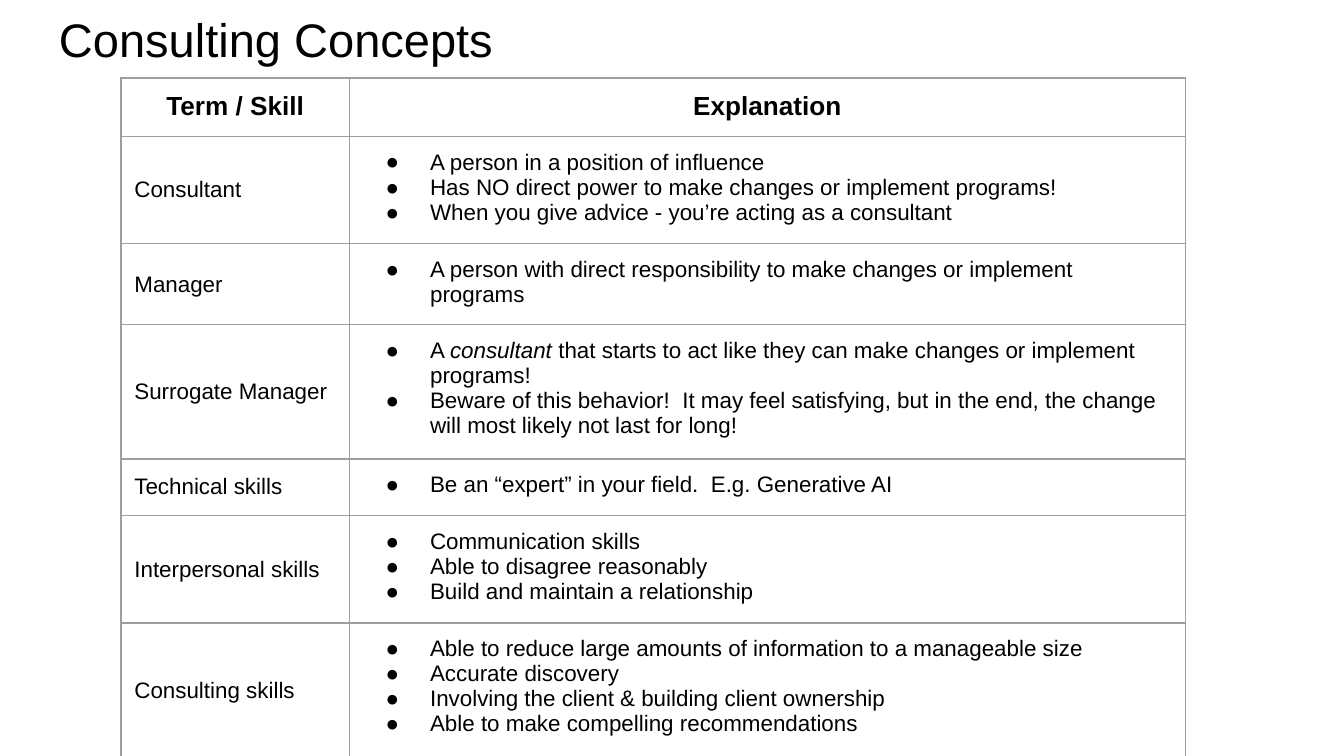
import pptx
import pptx.util
import pptx.dml.color
import pptx.enum.text
import lxml.etree

Inches = pptx.util.Inches
PP_ALIGN = pptx.enum.text.PP_ALIGN
MSO_ANCHOR = pptx.enum.text.MSO_ANCHOR
COLORS = {"text": "000000", "grid": "9E9E9E"}
NS = "http://schemas.openxmlformats.org/drawingml/2006/main"


def write(frame, text, size=12, bold=False, align=PP_ALIGN.LEFT, bullet=False):
    for index, line in enumerate(text.split("\n")):
        paragraph = frame.paragraphs[0] if index == 0 else frame.add_paragraph()
        paragraph.alignment = align
        paragraph.line_spacing = 1.0
        paragraph.space_before = paragraph.space_after = pptx.util.Pt(0)
        if bullet:
            props = paragraph._p.get_or_add_pPr()
            props.set("marL", str(Inches(0.5)))
            props.set("indent", str(Inches(-0.33)))
            bullet_color = lxml.etree.SubElement(props, f"{{{NS}}}buClr")
            lxml.etree.SubElement(bullet_color, f"{{{NS}}}srgbClr", val=COLORS["text"])
            lxml.etree.SubElement(props, f"{{{NS}}}buFont", typeface="Arial")
            lxml.etree.SubElement(props, f"{{{NS}}}buChar", char="●")
        for part, piece in enumerate(line.split("*")):
            run = paragraph.add_run()
            run.text = piece
            run.font.name = "Arial"
            run.font.size = pptx.util.Pt(size)
            run.font.bold = bold
            run.font.italic = part % 2 == 1
            run.font.color.rgb = pptx.dml.color.RGBColor.from_string(COLORS["text"])
            for script in ("ea", "cs"):
                lxml.etree.SubElement(run._r.get_or_add_rPr(), f"{{{NS}}}{script}", typeface="Arial")


def style_cell(cell):
    cell.margin_left = cell.margin_right = Inches(0.1)
    cell.margin_top = cell.margin_bottom = Inches(0.1)
    props = cell._tc.get_or_add_tcPr()
    for side in ("lnL", "lnR", "lnT", "lnB"):
        border = lxml.etree.SubElement(props, f"{{{NS}}}{side}", w=str(pptx.util.Pt(0.75)))
        fill = lxml.etree.SubElement(border, f"{{{NS}}}solidFill")
        lxml.etree.SubElement(fill, f"{{{NS}}}srgbClr", val=COLORS["grid"])
    cell.fill.background()


concepts = [
    ("Consultant",
     "A person in a position of influence\n"
     "Has NO direct power to make changes or implement programs!\n"
     "When you give advice - you’re acting as a consultant"),
    ("Manager",
     "A person with direct responsibility to make changes or implement programs"),
    ("Surrogate Manager",
     "A *consultant* that starts to act like they can make changes or implement programs!\n"
     "Beware of this behavior!  It may feel satisfying, but in the end, "
     "the change will most likely not last for long!"),
    ("Technical skills", "Be an “expert” in your field.  E.g. Generative AI"),
    ("Interpersonal skills",
     "Communication skills\nAble to disagree reasonably\nBuild and maintain a relationship"),
    ("Consulting skills",
     "Able to reduce large amounts of information to a manageable size\n"
     "Accurate discovery\n"
     "Involving the client & building client ownership\n"
     "Able to make compelling recommendations"),
]

deck = pptx.Presentation()
deck.slide_width = Inches(10)
deck.slide_height = Inches(10 * 9 / 16)
slide = deck.slides.add_slide(deck.slide_layouts[6])

title = slide.shapes.add_textbox(Inches(0.34), Inches(-0.03), Inches(9.32), Inches(0.63)).text_frame
title.word_wrap = True
title.vertical_anchor = MSO_ANCHOR.BOTTOM
title.margin_left = title.margin_right = Inches(0.1)
title.margin_top = title.margin_bottom = Inches(0.1)
write(title, "Consulting Concepts", size=25.2)

glossary_frame = slide.shapes.add_table(len(concepts) + 1, 2, Inches(0.9), Inches(0.58),
                                        Inches(3.28), Inches(3.28))
glossary = glossary_frame.table
glossary.first_row = False
glossary.horz_banding = False
table_props = glossary._tbl.tblPr
for style_id in table_props.findall(f"{{{NS}}}tableStyleId"):
    table_props.remove(style_id)
for column, width in zip(glossary.columns, (1.7, 6.22)):
    column.width = Inches(width)
for row in glossary.rows:
    row.height = Inches(0.42)
glossary_frame.width = glossary_frame.height = Inches(3.28)
for cell in glossary.iter_cells():
    style_cell(cell)

for column, heading in enumerate(("Term / Skill", "Explanation")):
    write(glossary.cell(0, column).text_frame, heading, size=14, bold=True, align=PP_ALIGN.CENTER)
for row, (term, explanation) in enumerate(concepts, start=1):
    term_cell = glossary.cell(row, 0)
    term_cell.vertical_anchor = MSO_ANCHOR.MIDDLE
    write(term_cell.text_frame, term)
    write(glossary.cell(row, 1).text_frame, explanation, bullet=True)

deck.save("out.pptx")
